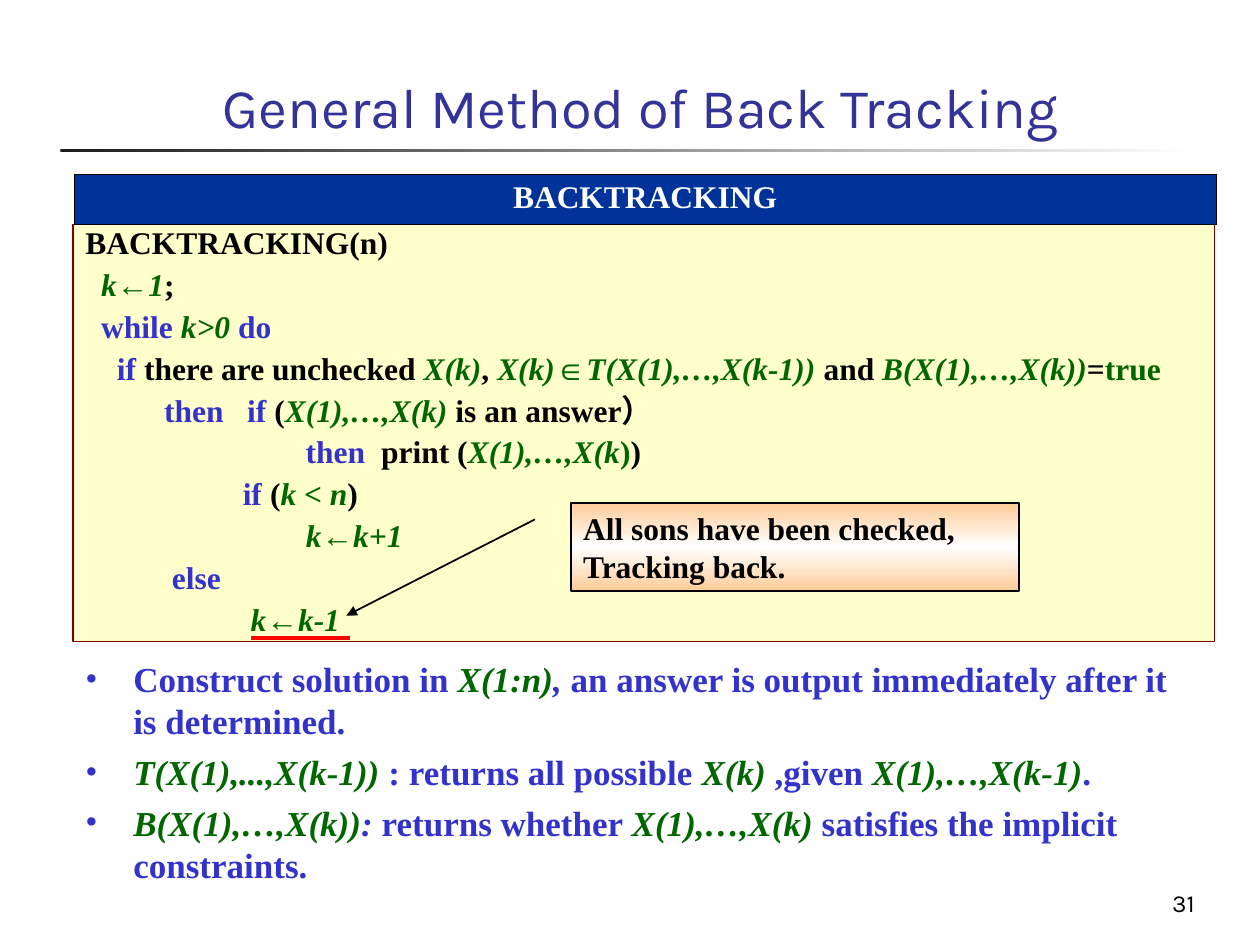
from copy import deepcopy
from lxml.etree import SubElement as Sub
from pptx import Presentation
from pptx.dml.color import RGBColor as RGB
from pptx.enum.shapes import MSO_CONNECTOR as Link, MSO_SHAPE as Kind
from pptx.enum.text import MSO_ANCHOR as Anchor, PP_ALIGN as Align
from pptx.oxml.ns import qn
from pptx.util import Inches, Pt

BLACK = RGB(0, 0, 0)
WHITE = RGB(255, 255, 255)
INK = RGB(0x1C, 0x1C, 0x1C)
TITLE = RGB(0x33, 0x33, 0x99)
NAVY = RGB(0x00, 0x33, 0x99)
BLUE = RGB(0x33, 0x33, 0xCC)
GREEN = RGB(0x00, 0x66, 0x00)
CREAM = RGB(0xFF, 0xFF, 0xCC)
MAROON = RGB(0x80, 0x00, 0x00)
PEACH = RGB(0xFF, 0xCC, 0x99)
RED = RGB(255, 0, 0)
SERIF = "Times New Roman"
SANS = "Karla"

# Run styles: font, colour, bold, italic
STYLES = {
    "title": (SANS, TITLE, False, False),
    "num": (SANS, BLACK, False, False),
    "head": (SERIF, WHITE, True, False),
    "text": (SERIF, BLACK, True, False),
    "key": (SERIF, BLUE, True, False),
    "slant": (SERIF, BLUE, True, True),
    "var": (SERIF, GREEN, True, True),
    "val": (SERIF, GREEN, True, False),
    "arrow": ("Arial", GREEN, True, True),
}


def write(frame, lines, size, bullet=False, **form):
    """Fill a frame; each line is a list of (style, text) runs."""
    frame.word_wrap = True
    for i, line in enumerate(lines):
        para = frame.paragraphs[0] if i == 0 else frame.add_paragraph()
        props = para._p.get_or_add_pPr()
        if bullet:
            props.set("marL", str(Inches(0.38)))
            props.set("indent", str(-Inches(0.38)))
            Sub(Sub(props, qn("a:buClr")), qn("a:srgbClr"), val=str(BLUE))
            Sub(props, qn("a:buFont"), typeface=SERIF)
            Sub(props, qn("a:buChar"), char="•")
        if line[0][1].startswith("\t"):
            Sub(Sub(props, qn("a:tabLst")), qn("a:tab"), pos=str(Inches(1)), algn="l")
        for name, value in form.items():
            if i or name != "space_before":
                setattr(para, name, value)
        for style, text in line:
            run = para.add_run()
            run.text = text
            face, color, bold, slant = STYLES[style]
            look = {"name": face, "size": Pt(size), "bold": bold, "italic": slant}
            for name, value in look.items():
                setattr(run.font, name, value)
            run.font.color.rgb = color


def blend(shape, colors, angle):
    """Fill a shape with evenly spaced gradient stops."""
    shape.fill.gradient()
    shape.fill.gradient_angle = angle
    stops = shape._element.spPr.find(".//" + qn("a:gsLst"))
    for _ in colors[2:]:
        stops.append(deepcopy(stops[0]))
    for i, (stop, color) in enumerate(zip(shape.fill.gradient_stops, colors)):
        stop.color.rgb = color
        stop.position = i / (len(colors) - 1)


deck = Presentation()
deck.slide_width, deck.slide_height = Inches(10), Inches(7.5)
slide = deck.slides.add_slide(deck.slide_layouts[6])
shapes = slide.shapes

# Title, rule and slide number
rule = shapes.add_shape(Kind.RECTANGLE, Inches(0.48), Inches(1.18), Inches(9), Inches(0.03))
rule.shadow.inherit = False
rule.line.fill.background()
blend(rule, [INK, WHITE], 0)

num = shapes.add_textbox(Inches(7.5), Inches(6.83), Inches(2.08), Inches(0.5)).text_frame
num.vertical_anchor = Anchor.BOTTOM
write(num, [[("num", "31")]], 14, alignment=Align.RIGHT)

title = shapes.add_textbox(Inches(1.67), Inches(0.17), Inches(7.86), Inches(0.99)).text_frame
title.vertical_anchor = Anchor.BOTTOM
write(title, [[("title", "General Method of Back Tracking")]], 32)

# Pseudocode
CODE = [
    [("text", "BACKTRACKING(n)")],
    [("text", "  "), ("var", "k"), ("arrow", "←"), ("var", "1"), ("text", ";")],
    [("key", "  while "), ("var", "k>0 "), ("key", "do")],
    [("key", "    if"), ("text", " there are unchecked "), ("var", "X(k)"), ("text", ", "),
     ("var", "X(k)∈T(X(1),…,X(k-1)) "), ("text", "and "), ("var", "B(X(1),…,X(k))"),
     ("text", "="), ("val", "true")],
    [("key", "          then   if"), ("text", " ("), ("var", "X(1),…,X(k) "),
     ("text", "is an answer）")],
    [("key", "                            then"), ("text", "  print ("),
     ("var", "X(1),…,X(k"), ("val", ")"), ("text", ")")],
    [("key", "                    if"), ("text", " ("), ("var", "k < n"), ("text", ")")],
    [("var", "\t            k"), ("arrow", "←"), ("var", "k+1")],
    [("key", "           else")],
    [("var", "\t     k"), ("arrow", "←"), ("var", "k-1")],
]
code = shapes.add_shape(Kind.RECTANGLE, Inches(0.58), Inches(1.78), Inches(9.06), Inches(3.31))
code.shadow.inherit = False
code.fill.solid()
code.fill.fore_color.rgb = CREAM
code.line.color.rgb = MAROON
code.line.width = Pt(0.75)
code.text_frame.vertical_anchor = Anchor.MIDDLE
write(code.text_frame, CODE, 18, alignment=Align.LEFT, line_spacing=0.9, space_before=Pt(4.5))

# Heading bar
table = shapes.add_table(1, 1, Inches(0.59), Inches(1.38), Inches(9.06), Inches(0.4)).table
cell = table.cell(0, 0)
write(cell.text_frame, [[("head", "BACKTRACKING")]], 18, alignment=Align.CENTER)
props = cell._tc.get_or_add_tcPr()
for side in ("lnL", "lnR", "lnT", "lnB"):
    edge = Sub(props, qn("a:" + side), w=str(Pt(0.45)))
    Sub(Sub(edge, qn("a:solidFill")), qn("a:srgbClr"), val=str(BLACK))
cell.fill.solid()
cell.fill.fore_color.rgb = NAVY

# Notes on the functions
NOTES = [
    [("key", "Construct solution in "), ("var", "X(1:n)"), ("slant", ", "),
     ("key", "an answer is output immediately after it is determined.")],
    [("var", "T(X(1),...,X(k-1)) "), ("key", ": returns all possible "), ("var", "X(k)"),
     ("key", " ,given "), ("var", "X(1),…,X(k-1)"), ("key", ".")],
    [("var", "B(X(1),…,X(k))"), ("slant", ": "), ("key", "returns whether "),
     ("var", "X(1),…,X(k) "), ("key", "satisfies the implicit constraints.")],
]
notes = shapes.add_textbox(Inches(0.58), Inches(5.17), Inches(9), Inches(1.97)).text_frame
write(notes, NOTES, 20, bullet=True, space_before=Pt(5))

# Callout pointing at the tracking-back step
call = shapes.add_shape(Kind.LINE_CALLOUT_1, Inches(4.53), Inches(3.99), Inches(3.56), Inches(0.7))
call.shadow.inherit = False
for i, value in enumerate([0.19, -0.08, 1.28, -0.5]):
    call.adjustments[i] = value
blend(call, [PEACH, WHITE, PEACH], 90)
call.line.color.rgb = BLACK
call.line.width = Pt(1)
Sub(call.line._get_or_add_ln(), qn("a:tailEnd"), type="triangle")
call.text_frame.vertical_anchor = Anchor.TOP
write(call.text_frame, [[("text", "All sons have been checked, Tracking back.")]], 18,
      alignment=Align.LEFT)

mark = shapes.add_connector(Link.STRAIGHT, Inches(1.99), Inches(5.06), Inches(2.78), Inches(5.06))
mark.line.color.rgb = RED
mark.line.width = Pt(2.25)
Sub(mark._element.spPr, qn("a:effectLst"))

deck.save("out.pptx")
